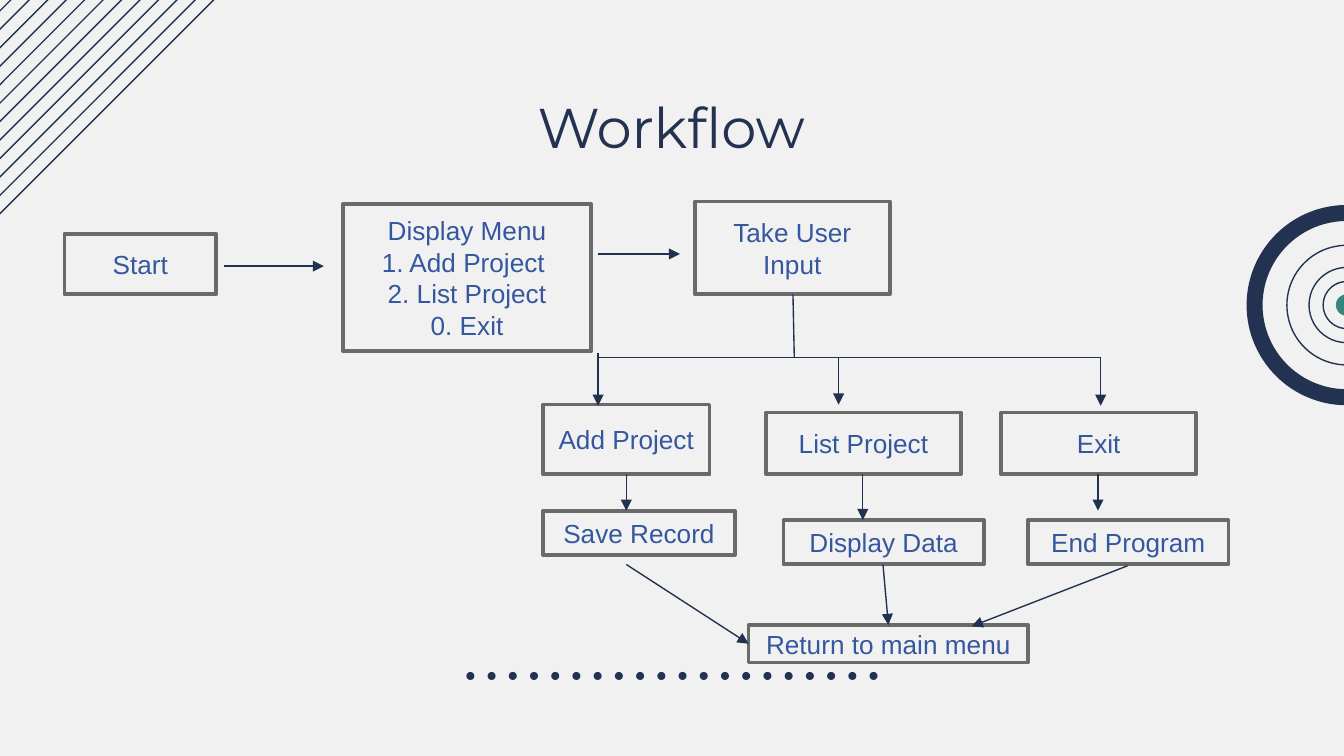
"""Build the Workflow flowchart slide."""
from dataclasses import dataclass

import pptx
import pptx.dml.color
import pptx.enum.shapes
import pptx.enum.text
import pptx.oxml.ns
import pptx.util
from lxml import etree

Inches = pptx.util.Inches
Pt = pptx.util.Pt
SHAPE = pptx.enum.shapes.MSO_SHAPE


@dataclass(frozen=True)
class Theme:
    paper: str = "F1F1F1"
    navy: str = "233251"
    arrow: str = "213150"
    border: str = "6A6A6A"
    label: str = "34579E"
    teal: str = "36867D"
    title_font: str = "Montserrat"
    body_font: str = "Arial"
    title_size: float = 30
    body_size: float = 14
    thin: float = 0.75
    thick: float = 2


@dataclass(frozen=True)
class Step:
    text: str
    x: float
    y: float
    w: float
    h: float


@dataclass(frozen=True)
class Link:
    x1: float
    y1: float
    x2: float
    y2: float
    arrow: bool = True


THEME = Theme()

STEPS = [
    Step("Start", 0.48, 1.74, 1.13, 0.45),
    Step("Display Menu\n1. Add Project \n2. List Project\n0. Exit", 2.55, 1.52, 1.85, 1.09),
    Step("Take User Input", 5.17, 1.5, 1.45, 0.69),
    Step("Add Project", 4.04, 3.01, 1.24, 0.52),
    Step("List Project", 5.7, 3.07, 1.45, 0.46),
    Step("Exit", 7.45, 3.07, 1.45, 0.46),
    Step("Save Record", 4.04, 3.8, 1.43, 0.33),
    Step("Display Data", 5.83, 3.87, 1.49, 0.33),
    Step("End Program", 7.65, 3.87, 1.49, 0.33),
    Step("Return to main menu", 5.57, 4.65, 2.08, 0.28),
]

LINKS = [
    Link(1.67, 1.98, 2.41, 1.98),
    Link(4.45, 1.89, 5.06, 1.89),
    Link(5.9, 2.19, 5.91, 2.66, arrow=False),
    Link(4.45, 2.66, 8.19, 2.66, arrow=False),
    Link(4.45, 2.63, 4.45, 3.02),
    Link(6.24, 2.66, 6.24, 3.01),
    Link(8.19, 2.66, 8.19, 3.02),
    Link(4.66, 3.53, 4.66, 3.8),
    Link(6.42, 3.53, 6.42, 3.87),
    Link(8.17, 3.53, 8.17, 3.8),
    Link(4.66, 4.2, 5.57, 4.79),
    Link(6.57, 4.2, 6.61, 4.65),
    Link(8.39, 4.21, 7.23, 4.66),
]


def rgb(color: str) -> pptx.dml.color.RGBColor:
    """Turn a hex string into a colour."""
    return pptx.dml.color.RGBColor.from_string(color)


def add_shape(s, kind, x: float, y: float, w: float, h: float,
              fill: str | None = None, line: str | None = None, width: float = THEME.thin):
    """Add a flat preset shape with an optional fill and outline."""
    sp = s.shapes.add_shape(kind, Inches(x), Inches(y), Inches(w), Inches(h))
    sp.shadow.inherit = False
    if fill:
        sp.fill.solid()
        sp.fill.fore_color.rgb = rgb(fill)
    else:
        sp.fill.background()
    if line:
        sp.line.color.rgb = rgb(line)
        sp.line.width = Pt(width)
    else:
        sp.line.fill.background()
    return sp


def add_circle(s, cx: float, cy: float, d: float, fill: str | None = None,
               line: str | None = None, kind=SHAPE.OVAL):
    """Add a round shape by its centre and diameter."""
    return add_shape(s, kind, cx - d / 2, cy - d / 2, d, d, fill, line)


def add_link(s, link: Link, color: str) -> None:
    """Add a straight line, with an arrowhead at its end if asked."""
    cx = s.shapes.add_connector(
        pptx.enum.shapes.MSO_CONNECTOR.STRAIGHT,
        Inches(link.x1), Inches(link.y1), Inches(link.x2), Inches(link.y2))
    cx.line.color.rgb = rgb(color)
    cx.line.width = Pt(THEME.thin)
    qn = pptx.oxml.ns.qn
    props = cx._element.spPr
    if link.arrow:
        etree.SubElement(props.find(qn("a:ln")), qn("a:tailEnd"), type="triangle")
    etree.SubElement(props, qn("a:effectLst"))


def style_paragraph(p, font: str, size: float, color: str) -> None:
    """Centre a paragraph and set its font."""
    p.alignment = pptx.enum.text.PP_ALIGN.CENTER
    p.font.name = font
    p.font.size = Pt(size)
    p.font.color.rgb = rgb(color)


def add_step(s, step: Step) -> None:
    """Add one labelled box of the flowchart."""
    sp = add_shape(s, SHAPE.RECTANGLE, step.x, step.y, step.w, step.h,
                   THEME.paper, THEME.border, THEME.thick)
    tf = sp.text_frame
    tf.word_wrap = True
    tf.vertical_anchor = pptx.enum.text.MSO_ANCHOR.MIDDLE
    tf.text = step.text
    for p in tf.paragraphs:
        style_paragraph(p, THEME.body_font, THEME.body_size, THEME.label)


def add_decoration(s) -> None:
    """Draw the corner stripes, the dotted row and the target."""
    for i in range(12):
        x = -0.04 - i * 1.51 / 11
        add_link(s, Link(x, 1.63, x + 2.18, -0.55, arrow=False), THEME.navy)
    for i in range(20):
        add_circle(s, 3.5 + i * 3 / 19, 5.03, 0.06, fill=THEME.navy)
    x, y = 10.02, 2.27
    for d in (0.89, 0.56, 0.35):
        add_circle(s, x, y, d, line=THEME.navy)
    add_circle(s, x, y, 0.16, fill=THEME.teal)
    rim = add_circle(s, x, y, 1.49, fill=THEME.navy, kind=SHAPE.DONUT)
    rim.adjustments[0] = 0.08


def add_title(s, text: str) -> None:
    """Place and format the title placeholder."""
    sp = s.shapes.title
    sp.left, sp.top, sp.width, sp.height = (Inches(v) for v in (0.95, 0.59, 8.09, 0.63))
    tf = sp.text_frame
    tf.text = text
    tf.word_wrap = True
    tf.auto_size = pptx.enum.text.MSO_AUTO_SIZE.NONE
    tf.vertical_anchor = pptx.enum.text.MSO_ANCHOR.TOP
    tf.margin_left = tf.margin_right = tf.margin_top = tf.margin_bottom = Inches(0.1)
    style_paragraph(tf.paragraphs[0], THEME.title_font, THEME.title_size, THEME.navy)


def main() -> None:
    """Build and save the presentation."""
    prs = pptx.Presentation()
    prs.slide_width, prs.slide_height = Inches(10), Inches(10 * 9 / 16)
    s = prs.slides.add_slide(prs.slide_layouts[5])
    s.background.fill.solid()
    s.background.fill.fore_color.rgb = rgb(THEME.paper)
    add_decoration(s)
    add_title(s, "Workflow")
    for step in STEPS:
        add_step(s, step)
    for link in LINKS:
        add_link(s, link, THEME.arrow)
    prs.save("out.pptx")


if __name__ == "__main__":
    main()
